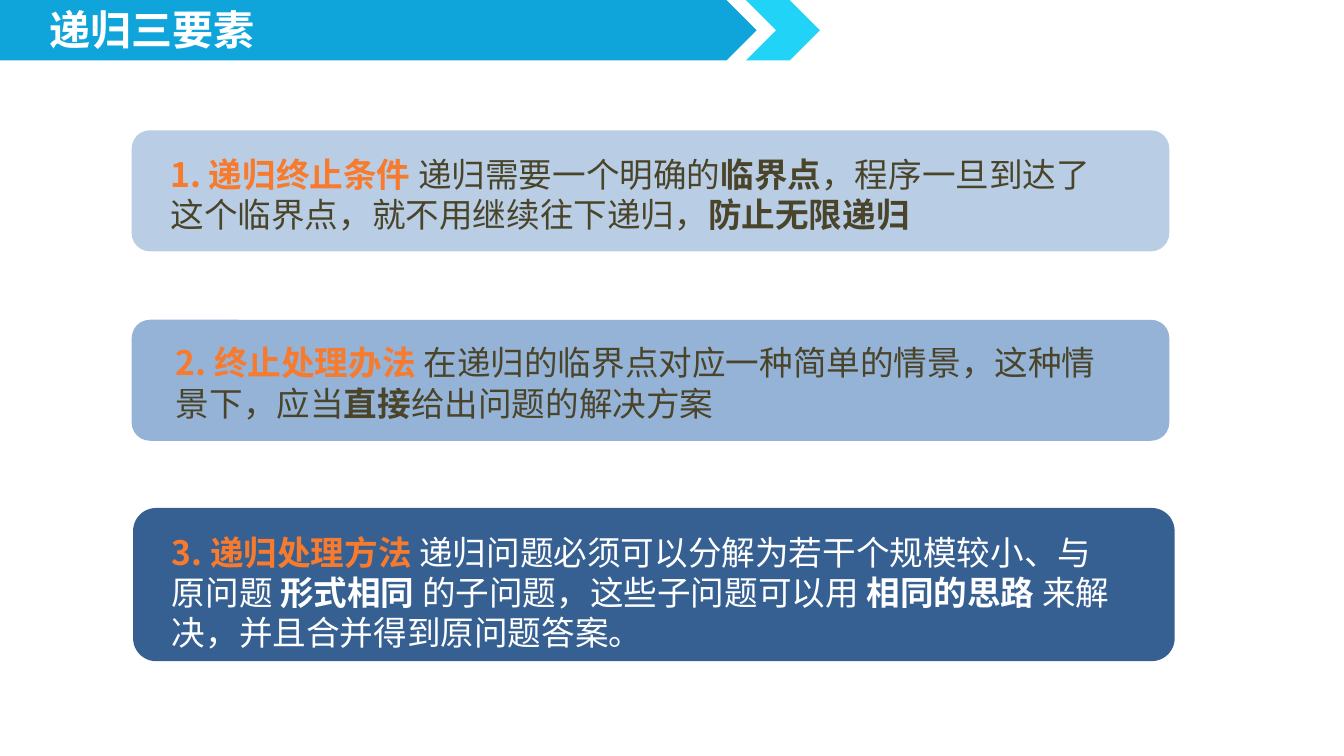
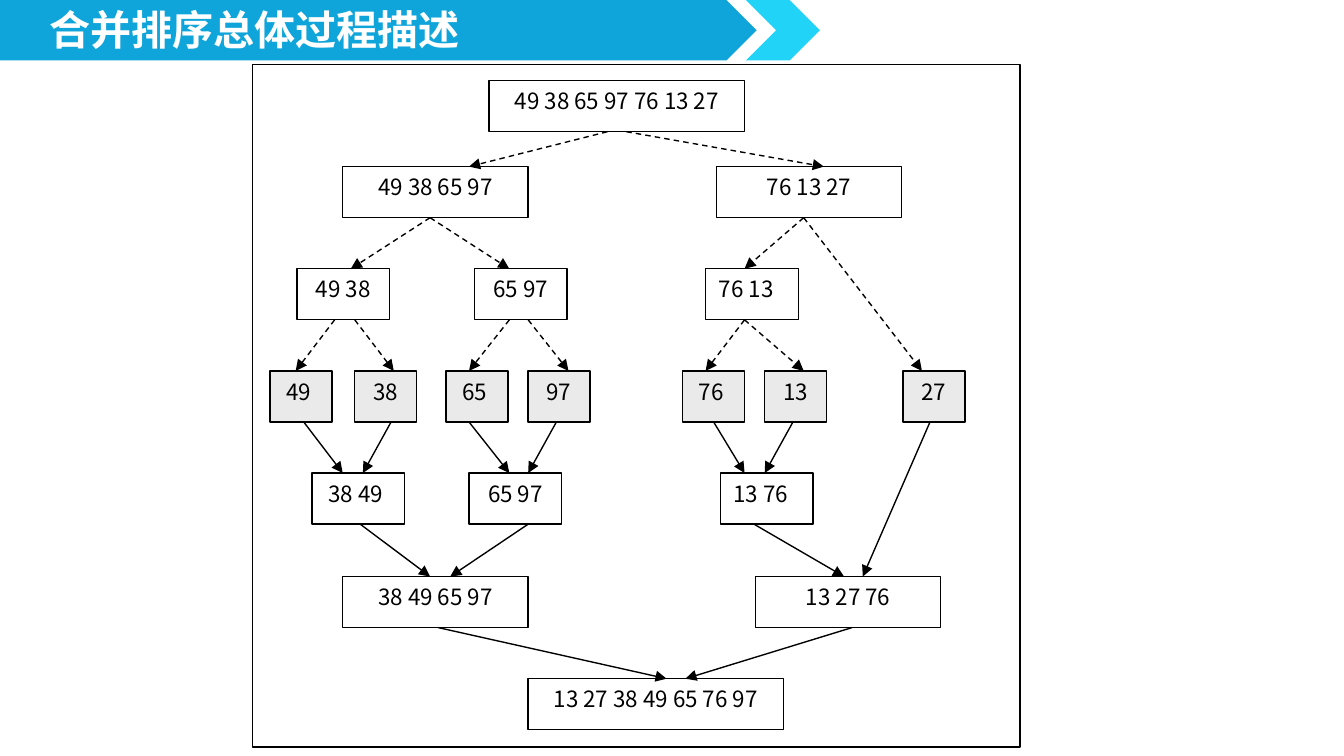
from lxml.etree import SubElement
from pptx import Presentation
from pptx.dml.color import RGBColor
from pptx.enum.dml import MSO_LINE
from pptx.enum.shapes import MSO_CONNECTOR, MSO_SHAPE
from pptx.enum.text import MSO_ANCHOR, MSO_AUTO_SIZE, PP_ALIGN
from pptx.oxml.ns import qn
from pptx.util import Inches, Pt

FONT = "Noto Sans CJK SC"
WHITE = RGBColor(0xFF, 0xFF, 0xFF)
BLACK = RGBColor(0x00, 0x00, 0x00)
BAND_BLUE = RGBColor(0x10, 0xA5, 0xDA)
BAND_CYAN = RGBColor(0x21, 0xD3, 0xF7)
PALE_BLUE = RGBColor(0xB9, 0xCD, 0xE5)
MID_BLUE = RGBColor(0x95, 0xB3, 0xD7)
DARK_BLUE = RGBColor(0x37, 0x60, 0x92)
ORANGE = RGBColor(0xF7, 0x7A, 0x2D)
OLIVE = RGBColor(0x4A, 0x45, 0x2A)
LEAF_GRAY = RGBColor(0xEA, 0xEA, 0xEA)

# Card: panel place, text place, panel colour, text colour, heading, (text, bold) spans
ELEMENTS = [
    ((0.98, 0.97, 7.72, 0.9), (1.17, 1.1, 7.25, 0.71), PALE_BLUE, OLIVE, "1. 递归终止条件 ", [
        ("递归需要一个明确的", False),
        ("临界点", True),
        ("，程序一旦到达了这个临界点，就不用继续往下递归，", False),
        ("防止无限递归", True),
    ]),
    ((0.98, 2.38, 7.72, 0.9), (1.21, 2.5, 7.25, 0.71), MID_BLUE, OLIVE, "2. 终止处理办法 ", [
        ("在递归的临界点对应一种简单的情景，这种情景下，应当", False),
        ("直接", True),
        ("给出问题的解决方案", False),
    ]),
    ((0.99, 3.78, 7.75, 1.14), (1.18, 3.91, 7.25, 1.01), DARK_BLUE, WHITE, "3. 递归处理方法 ", [
        ("递归问题必须可以分解为若干个规模较小、与原问题 ", False),
        ("形式相同 ", True),
        ("的子问题，这些子问题可以用 ", False),
        ("相同的思路 ", True),
        ("来解决，并且合并得到原问题答案。", False),
    ]),
]

# Level of the sorting tree: top, node width, (left, numbers) nodes
LEVELS = [
    (0.6, 1.9, [(3.64, "49 38 65 97 76 13 27")]),
    (1.24, 1.38, [(2.55, "49 38 65 97"), (5.33, "76 13 27")]),
    (2.0, 0.69, [(2.21, "49 38"), (3.53, "65 97"), (5.25, "76 13")]),
    (2.76, 0.46, [(2.01, "49 "), (2.64, "38"), (3.32, "65 "), (3.93, "97"),
                  (5.08, "76 "), (5.69, "13"), (6.72, "27")]),
    (3.52, 0.69, [(2.32, "38 49 "), (3.49, "65 97"), (5.36, "13 76 ")]),
    (4.29, 1.38, [(2.55, "38 49 65 97"), (5.62, "13 27 76")]),
    (5.05, 1.9, [(3.93, "13 27 38 49 65 76 97")]),
]
NODE_HEIGHT = 0.38
LEAF_LEVEL = 3
LEFT_ALIGNED = ("76 13", "13 76 ")

# Arrows from one level to another: (from level, to level), (from x, to x) pairs
ARROWS = [
    ((0, 1), [(4.52, 3.49), (4.66, 6.13)]),
    ((1, 2), [(3.2, 2.61), (3.2, 3.79), (5.98, 5.54)]),
    ((1, 3), [(5.98, 6.86)]),
    ((2, 3), [(2.49, 2.2), (2.64, 2.93), (3.79, 3.49), (3.93, 4.23),
              (5.54, 5.25), (5.54, 5.98)]),
    ((3, 4), [(2.26, 2.55), (2.91, 2.7), (3.49, 3.79), (4.14, 3.93),
              (5.31, 5.54), (5.9, 5.69)]),
    ((3, 5), [(6.92, 6.42)]),
    ((4, 5), [(2.68, 3.2), (3.93, 3.35), (5.61, 6.28)]),
    ((5, 6), [(3.26, 4.96), (6.34, 5.1)]),
]


def inches(place):
    return [Inches(length) for length in place]


def add_panel(page, preset, place, fill, outline=None):
    panel = page.shapes.add_shape(preset, *inches(place))
    panel.shadow.inherit = False
    panel.fill.solid()
    panel.fill.fore_color.rgb = fill
    if outline is None:
        panel.line.fill.background()
    else:
        panel.line.color.rgb = outline
        panel.line.width = Pt(0.75)
    return panel


def add_span(para, text, size, color, bold=False):
    span = para.add_run()
    span.text = text
    span.font.name = FONT
    span.font.size = Pt(size)
    span.font.bold = bold
    span.font.color.rgb = color


def add_bands(page):
    """Place the two header bands behind everything on the page's layout."""
    tree = page.slide_layout.shapes.element
    bands = [
        (MSO_SHAPE.PENTAGON, (0, 0, 5.63, 0.45), BAND_BLUE),
        (MSO_SHAPE.CHEVRON, (5.55, 0, 0.55, 0.45), BAND_CYAN),
    ]
    for position, (preset, place, fill) in enumerate(bands, start=2):
        tree.insert(position, add_panel(page, preset, place, fill).element)


def set_title(page, text, width):
    title = page.shapes.title
    title.left, title.top, title.width, title.height = inches((0.27, 0.05, width, 0.4))
    frame = title.text_frame
    frame.auto_size = MSO_AUTO_SIZE.NONE
    frame.word_wrap = False
    frame.vertical_anchor = MSO_ANCHOR.MIDDLE
    para = frame.paragraphs[0]
    para.alignment = PP_ALIGN.LEFT
    para.line_spacing = 0.8
    add_span(para, text, 22, WHITE, bold=True)


def add_element_card(page, panel_place, text_place, fill, color, heading, spans):
    panel = add_panel(page, MSO_SHAPE.ROUNDED_RECTANGLE, panel_place, fill)
    panel.adjustments[0] = 0.15
    box = page.shapes.add_textbox(*inches(text_place))
    box.text_frame.word_wrap = True
    para = box.text_frame.paragraphs[0]
    para.line_spacing = Pt(21.5)
    add_span(para, heading, 18, ORANGE, bold=True)
    for text, bold in spans:
        add_span(para, text, 18, color, bold)


def add_node(page, place, numbers, fill):
    node = add_panel(page, MSO_SHAPE.RECTANGLE, place, fill, BLACK)
    frame = node.text_frame
    frame.word_wrap = True
    frame.vertical_anchor = MSO_ANCHOR.TOP
    para = frame.paragraphs[0]
    para.alignment = PP_ALIGN.LEFT if numbers in LEFT_ALIGNED else PP_ALIGN.CENTER
    para.line_spacing = Pt(14.5)
    add_span(para, numbers, 12, BLACK)


def add_arrow(page, start, end, dashed):
    arrow = page.shapes.add_connector(MSO_CONNECTOR.STRAIGHT, *inches(start + end))
    arrow.line.color.rgb = BLACK
    arrow.line.width = Pt(0.75)
    if dashed:
        arrow.line.dash_style = MSO_LINE.DASH
    properties = arrow.element.spPr
    SubElement(properties.find(qn("a:ln")), qn("a:tailEnd"), type="triangle")
    SubElement(properties, qn("a:effectLst"))


def add_sorting_tree(page):
    add_panel(page, MSO_SHAPE.RECTANGLE, (1.88, 0.48, 5.71, 5.08), WHITE, BLACK)
    for level, (top, width, nodes) in enumerate(LEVELS):
        fill = LEAF_GRAY if level == LEAF_LEVEL else WHITE
        for left, numbers in nodes:
            add_node(page, (left, top, width, NODE_HEIGHT), numbers, fill)
    for (source, target), pairs in ARROWS:
        start_y = LEVELS[source][0] + NODE_HEIGHT
        end_y = LEVELS[target][0]
        for start_x, end_x in pairs:
            add_arrow(page, (start_x, start_y), (end_x, end_y), source < LEAF_LEVEL)


def set_east_asian_font(page):
    """Give Chinese characters the same font as Latin ones."""
    for latin in list(page.element.iter(qn("a:latin"))):
        latin.addnext(latin.makeelement(qn("a:ea"), {"typeface": FONT}))


def main():
    deck = Presentation()
    deck.slide_width = Inches(10)
    deck.slide_height = deck.slide_width * 9 // 16
    title_only = deck.slide_layouts[5]

    elements_page = deck.slides.add_slide(title_only)
    add_bands(elements_page)
    set_title(elements_page, "递归三要素", 1.74)
    for card in ELEMENTS:
        add_element_card(elements_page, *card)

    sorting_page = deck.slides.add_slide(title_only)
    set_title(sorting_page, "合并排序总体过程描述", 3.29)
    add_sorting_tree(sorting_page)

    for page in deck.slides:
        set_east_asian_font(page)
    deck.save("out.pptx")


if __name__ == "__main__":
    main()
